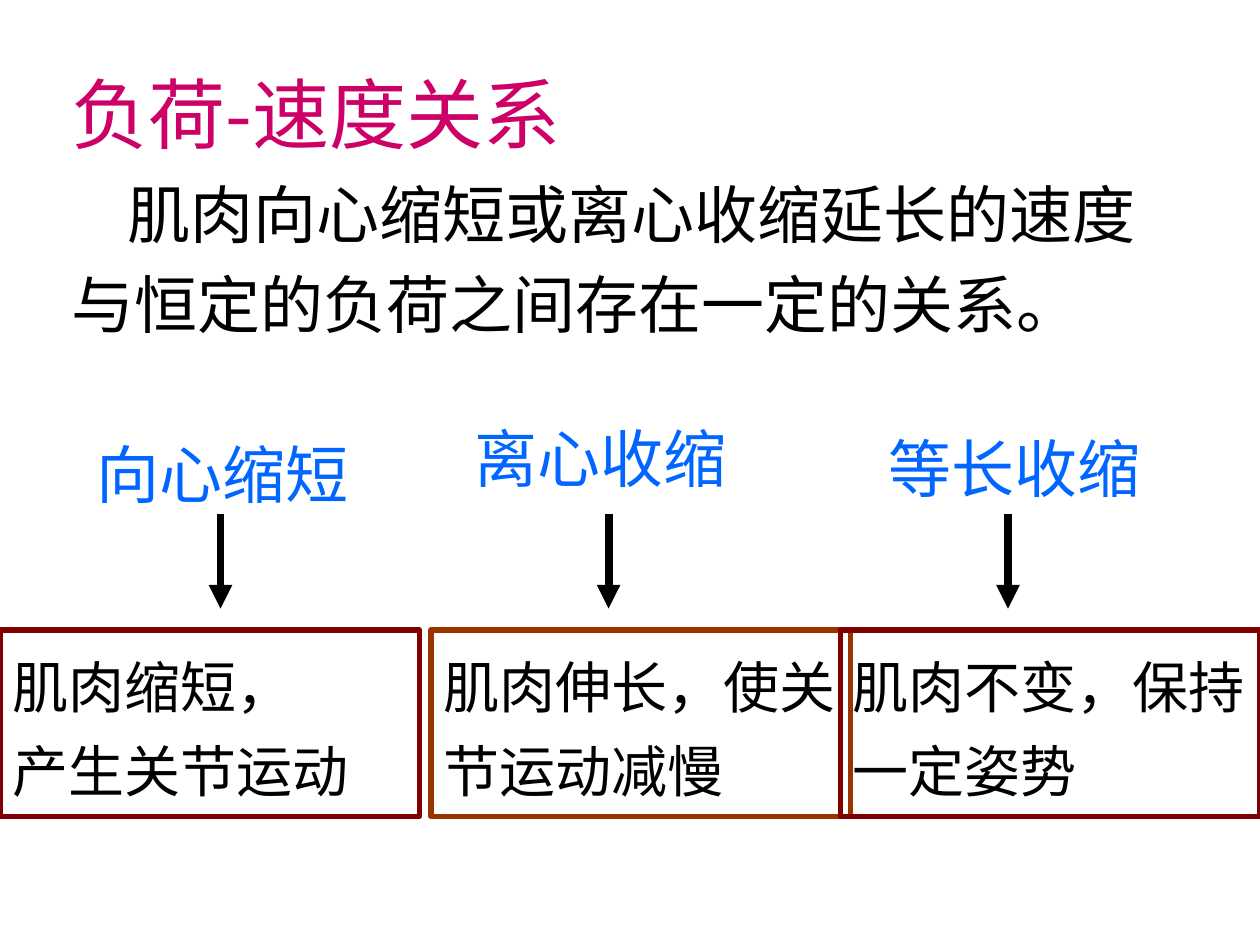
from lxml import etree
from pptx import Presentation
from pptx.dml.color import RGBColor
from pptx.enum.shapes import MSO_CONNECTOR, MSO_SHAPE
from pptx.enum.text import MSO_ANCHOR, MSO_AUTO_SIZE, PP_ALIGN
from pptx.oxml.ns import qn
from pptx.util import Inches, Pt

STRAIGHT, RECTANGLE = MSO_CONNECTOR.STRAIGHT, MSO_SHAPE.RECTANGLE
TOP, LEFT, NO_FIT = MSO_ANCHOR.TOP, PP_ALIGN.LEFT, MSO_AUTO_SIZE.NONE
CJK_FONT = "Noto Sans CJK SC"
LINE_HEIGHT = 1.2


def rgb(value):
    return RGBColor.from_string(value)


def write(shape, lines, size, color, spacing=1.0, latin=CJK_FONT, indent=0):
    frame = shape.text_frame
    frame.text = "\n".join(lines)
    for name, value in dict(word_wrap=True, auto_size=NO_FIT, vertical_anchor=TOP,
                            margin_left=Inches(0.1), margin_right=Inches(0.1),
                            margin_top=Inches(0.05), margin_bottom=Inches(0.05)).items():
        setattr(frame, name, value)
    for paragraph in frame.paragraphs:
        properties = paragraph._p.get_or_add_pPr()
        properties.set("marL", "0")
        properties.set("indent", str(Inches(indent)))
        etree.SubElement(properties, qn("a:buNone"))
        paragraph.alignment = LEFT
        paragraph.space_before = Pt(0)
        paragraph.line_spacing = Pt(round(size * LINE_HEIGHT * spacing, 1))
        for run in paragraph.runs:
            run.font.size = Pt(size)
            run.font.name = latin
            run.font.color.rgb = rgb(color)
            east_asian = etree.SubElement(run._r.get_or_add_rPr(), qn("a:ea"))
            east_asian.set("typeface", CJK_FONT)


deck = Presentation()
deck.slide_width, deck.slide_height = Inches(10), Inches(7.5)
slide = deck.slides.add_slide(deck.slide_layouts[1])

# Title and definition
title, definition = slide.placeholders
for holder, top, height in ((title, 0.33, 0.95), (definition, 1.22, 1.55)):
    holder.left, holder.top = Inches(0.47), Inches(top)
    holder.width, holder.height = Inches(8.92), Inches(height)
write(title, ["负荷-速度关系"], 44, "CC0066", 1.2)
write(definition, ["肌肉向心缩短或离心收缩延长的速度与恒定的负荷之间存在一定的关系。"],
      36, "000000", 1.2, indent=0.44)

# One column per contraction: label, its place and spacing, arrow, effect
contractions = [
    ("向心缩短", 0.67, 3.17, 1.4, 1.75, 0, "800000", ["肌肉缩短，", "产生关节运动"]),
    ("离心收缩", 3.67, 3.28, 1.0, 4.83, 3.42, "993300", ["肌肉伸长，使关节运动减慢"]),
    ("等长收缩", 6.95, 3.36, 1.0, 8, 6.67, "800000", ["肌肉不变，保持一定姿势"]),
]
for name, label_left, label_top, spacing, arrow_x, box_left, border, effect in contractions:
    label = slide.shapes.add_textbox(Inches(label_left), Inches(label_top),
                                     Inches(2.42), Inches(0.94))
    write(label, [name], 36, "0066FF", spacing)

    arrow = slide.shapes.add_connector(STRAIGHT, Inches(arrow_x), Inches(4.08),
                                       Inches(arrow_x), Inches(4.83))
    arrow.line.color.rgb = rgb("000000")
    arrow.line.width = Pt(4.5)
    etree.SubElement(arrow.line._get_or_add_ln(), qn("a:tailEnd")).set("type", "triangle")
    etree.SubElement(arrow._element.spPr, qn("a:effectLst"))

    effect_box = slide.shapes.add_shape(RECTANGLE, Inches(box_left), Inches(5),
                                        Inches(3.33), Inches(1.48))
    effect_box.shadow.inherit = False
    effect_box.fill.background()
    effect_box.line.color.rgb = rgb(border)
    effect_box.line.width = Pt(3)
    write(effect_box, effect, 32, "000000", 1.25, latin="Calibri")

deck.save("out.pptx")
